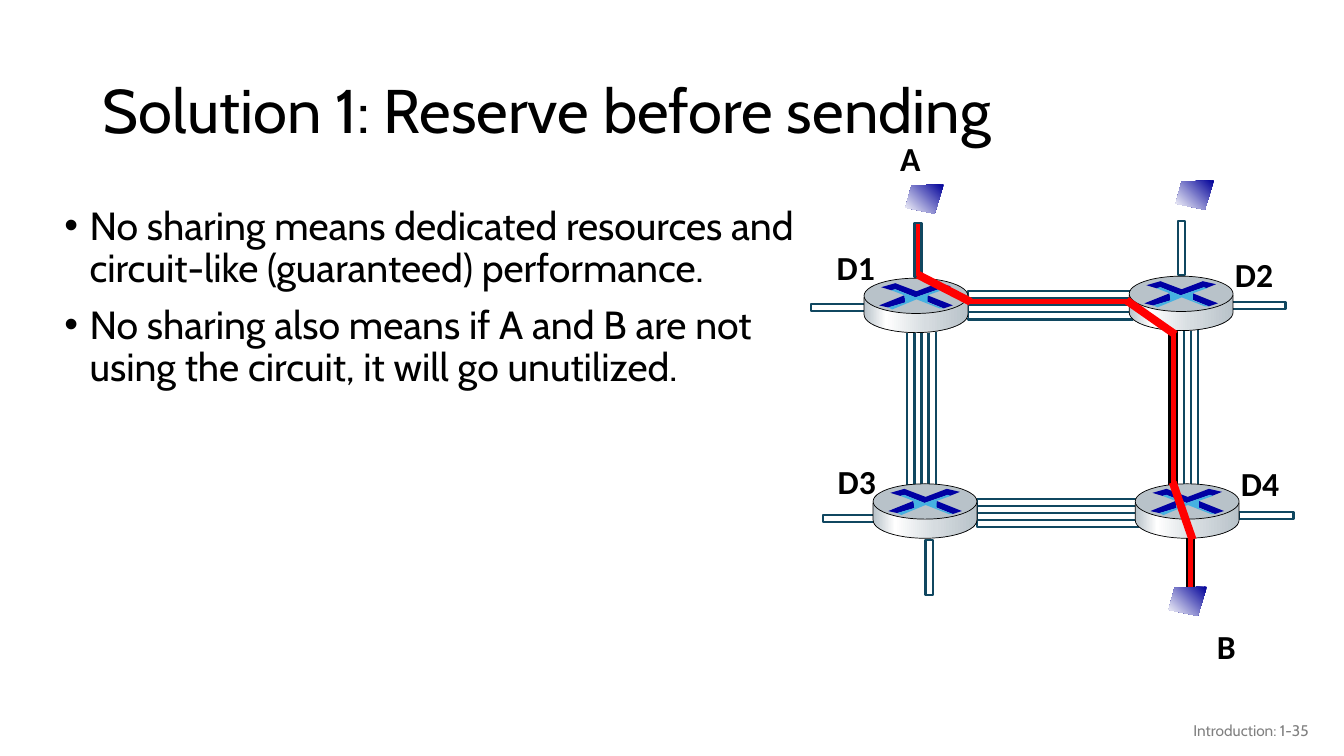
from math import cos, pi, sin

from lxml import etree
from pptx import Presentation
from pptx.dml.color import RGBColor
from pptx.enum.shapes import MSO_SHAPE
from pptx.enum.text import MSO_ANCHOR, MSO_AUTO_SIZE, PP_ALIGN
from pptx.oxml.ns import qn
from pptx.util import Inches, Pt

RECTANGLE, OVAL = MSO_SHAPE.RECTANGLE, MSO_SHAPE.OVAL
MIDDLE, TOP = MSO_ANCHOR.MIDDLE, MSO_ANCHOR.TOP
LEFT, RIGHT = PP_ALIGN.LEFT, PP_ALIGN.RIGHT
FIT_SHAPE, NO_FIT = MSO_AUTO_SIZE.SHAPE_TO_FIT_TEXT, MSO_AUTO_SIZE.NONE

BLACK = RGBColor(0x00, 0x00, 0x00)
WHITE = RGBColor(0xFF, 0xFF, 0xFF)
GREY = RGBColor(0x80, 0x80, 0x80)
RED = RGBColor(0xFF, 0x00, 0x00)
TEAL = RGBColor(0x10, 0x47, 0x60)
STEEL = RGBColor(0xB8, 0xC2, 0xC9)
SILVER = RGBColor(0xD6, 0xDC, 0xE0)
NAVY = RGBColor(0x00, 0x00, 0x99)
ARROW_BLUE = RGBColor(0x00, 0x00, 0xA3)
SKY = RGBColor(0x46, 0xB1, 0xE1)

TITLE = "Solution 1: Reserve before sending"
POINTS = [
    "No sharing means dedicated resources and circuit-like (guaranteed) performance.",
    "No sharing also means if A and B are not using the circuit, it will go unutilized.",
]
FOOTER = "Introduction: 1-35"
LABELS = [  # text, left, top, width
    ("A", 8.83, 1.32, 0.41), ("B", 11.97, 6.16, 0.41),
    ("D1", 8.2, 2.4, 0.58), ("D2", 12.15, 2.47, 0.58),
    ("D3", 8.21, 4.52, 0.58), ("D4", 12.21, 4.54, 0.58),
]

LANE = 0.07
LANES = 4
# left, top, length, reserved lane (None when all are free), its outline
ROW_TRUNKS = [(9.6, 2.89, 1.64, 1, TEAL), (9.69, 4.95, 1.62, None, TEAL)]
COLUMN_TRUNKS = [(9.0, 3.23, 1.58, None, TEAL), (11.6, 3.24, 1.58, 0, BLACK)]
STUB = 0.54
ROW_STUBS = [(8.16, 5.11), (12.29, 5.08), (8.04, 3.02), (12.21, 3.0)]
COLUMN_STUBS = [  # left, top, fill, outline
    (9.07, 2.21, RED, TEAL), (11.68, 2.19, None, TEAL),
    (9.18, 5.36, None, TEAL), (11.77, 5.34, RED, BLACK),
]
HOSTS = [(8.98, 1.83), (11.66, 1.79), (11.59, 5.82)]
ROUTERS = [(8.57, 2.76), (8.66, 4.8), (11.26, 4.8), (11.2, 2.74)]
CROSSINGS = [  # reserved path over a router: left, top, length, angle
    (9.07, 2.82, 0.59, 27.2), (11.12, 3.11, 0.59, 35), (11.43, 5.03, 0.6, 70.9),
]

# Outlines, measured from each symbol's top left corner
HOST = [(0.38, 0), (0.06, 0.01), (0, 0.23), (0.29, 0.29)]
HOST_STOPS = [(0, NAVY), (100, WHITE)]
ROUTER_WIDTH, TOP_HEIGHT = 1.03, 0.35
RIM, RIM_DEPTH = 0.36, 0.18
ARC_STEPS = 24
BODY = [(0, 0.19), (ROUTER_WIDTH, 0.19)] + [
    (ROUTER_WIDTH / 2 * (1 + cos(pi * step / ARC_STEPS)),
     RIM + RIM_DEPTH * sin(pi * step / ARC_STEPS))
    for step in range(ARC_STEPS + 1)
]
BODY_STOPS = [(0, STEEL), (21, WHITE), (60, SILVER), (100, STEEL)]
ARROWS = [
    (ARROW_BLUE, [(0.73, 0.05), (0.86, 0.08), (0.76, 0.12), (0.74, 0.11), (0.51, 0.19),
                  (0.31, 0.11), (0.27, 0.12), (0.17, 0.09), (0.31, 0.05), (0.52, 0.13)]),
    (ARROW_BLUE, [(0.63, 0.17), (0.88, 0.27), (0.79, 0.3), (0.62, 0.23)]),
    (ARROW_BLUE, [(0.4, 0.17), (0.41, 0.24), (0.24, 0.29), (0.15, 0.27)]),
    (SKY, [(0.27, 0.12), (0.31, 0.11), (0.51, 0.19), (0.74, 0.11), (0.77, 0.12),
           (0.63, 0.17), (0.63, 0.24), (0.79, 0.3), (0.75, 0.3), (0.52, 0.21),
           (0.28, 0.31), (0.24, 0.29), (0.41, 0.24), (0.4, 0.17)]),
]


def paint(shape, fill=None, outline=None, weight=1.5):
    shape.shadow.inherit = False
    if fill is None:
        shape.fill.background()
    else:
        shape.fill.solid()
        shape.fill.fore_color.rgb = fill
    if outline is None:
        shape.line.fill.background()
    else:
        shape.line.color.rgb = outline
        shape.line.width = Pt(weight)


def shade(shape, stops, angle):
    """Give the shape a linear gradient; the angle runs clockwise."""
    shape.fill.gradient()
    gradient = shape.fill._xPr.find(qn("a:gradFill"))
    for child in list(gradient):
        gradient.remove(child)
    stop_list = etree.SubElement(gradient, qn("a:gsLst"))
    for share, color in stops:
        stop = etree.SubElement(stop_list, qn("a:gs"), pos=str(share * 1000))
        etree.SubElement(stop, qn("a:srgbClr"), val=str(color))
    etree.SubElement(gradient, qn("a:lin"), ang=str(angle * 60000), scaled="0")


def add_preset(page, kind, left, top, width, height, *style):
    shape = page.shapes.add_shape(
        kind, Inches(left), Inches(top), Inches(width), Inches(height))
    paint(shape, *style)
    return shape


def add_outline(page, left, top, points, *style):
    corners = [(Inches(left + x), Inches(top + y)) for x, y in points]
    builder = page.shapes.build_freeform(*corners[0])
    builder.add_line_segments(corners[1:], close=True)
    shape = builder.convert_to_shape()
    paint(shape, *style)
    return shape


def add_text(page, place, texts, size, font="Cabin", color=BLACK, bold=False,
             anchor=TOP, align=LEFT, spacing=1.0, bullet=False, wrap=True):
    box = page.shapes.add_textbox(*(Inches(length) for length in place))
    frame = box.text_frame
    frame.word_wrap = wrap
    frame.auto_size = NO_FIT if wrap else FIT_SHAPE
    frame.vertical_anchor = anchor
    for index, text in enumerate(texts):
        para = frame.add_paragraph() if index else frame.paragraphs[0]
        para.alignment = align
        para.line_spacing = spacing
        if index:
            para.space_before = Pt(10)
        if bullet:
            properties = para._p.get_or_add_pPr()
            properties.set("marL", str(Inches(0.25)))
            properties.set("indent", str(-Inches(0.25)))
            etree.SubElement(properties, qn("a:buFont"), typeface="Arial")
            etree.SubElement(properties, qn("a:buChar"), char="•")
        span = para.add_run()
        span.text = text
        span.font.name = font
        span.font.size = Pt(size)
        span.font.bold = bold
        span.font.color.rgb = color


def add_links(page):
    for trunks, across in ((ROW_TRUNKS, True), (COLUMN_TRUNKS, False)):
        for left, top, length, reserved, edge in trunks:
            for lane in range(LANES) if across else reversed(range(LANES)):
                style = (RED, edge) if lane == reserved else (None, TEAL)
                shift = lane * LANE
                place = ((left, top + shift, length, LANE) if across
                         else (left + shift, top, LANE, length))
                add_preset(page, RECTANGLE, *place, *style)
    for left, top in ROW_STUBS:
        add_preset(page, RECTANGLE, left, top, STUB, LANE, None, TEAL)
    for left, top, fill, edge in COLUMN_STUBS:
        add_preset(page, RECTANGLE, left, top, LANE, STUB, fill, edge)


def add_router(page, left, top):
    body = add_outline(page, left, top, BODY, None, BLACK, 0.5)
    shade(body, BODY_STOPS, 0)
    add_preset(page, OVAL, left, top, ROUTER_WIDTH, TOP_HEIGHT, STEEL, BLACK, 0.5)
    for color, points in ARROWS:
        add_outline(page, left, top, points, color)


def main():
    deck = Presentation()
    deck.slide_width, deck.slide_height = Inches(13.33), Inches(7.5)
    page = deck.slides.add_slide(deck.slide_layouts[6])

    add_text(page, (0.92, 0.4, 11.5, 1.45), [TITLE], 44, anchor=MIDDLE, spacing=0.9)
    add_text(page, (10.08, 7.05, 3, 0.4), [FOOTER], 11, color=GREY,
             anchor=MIDDLE, align=RIGHT)
    add_text(page, (0.54, 2, 7.5, 4.76), POINTS, 28, spacing=0.9, bullet=True)

    add_links(page)
    for left, top in HOSTS:
        shade(add_outline(page, left, top, HOST), HOST_STOPS, 135)
    for left, top in ROUTERS:
        add_router(page, left, top)
    for left, top, length, angle in CROSSINGS:
        crossing = add_preset(page, RECTANGLE, left, top, length, 0.08, RED)
        crossing.rotation = angle
    for text, left, top, width in LABELS:
        add_text(page, (left, top, width, 0.5), [text], 24, "Calibri",
                 bold=True, wrap=False)
    deck.save("out.pptx")


if __name__ == "__main__":
    main()
